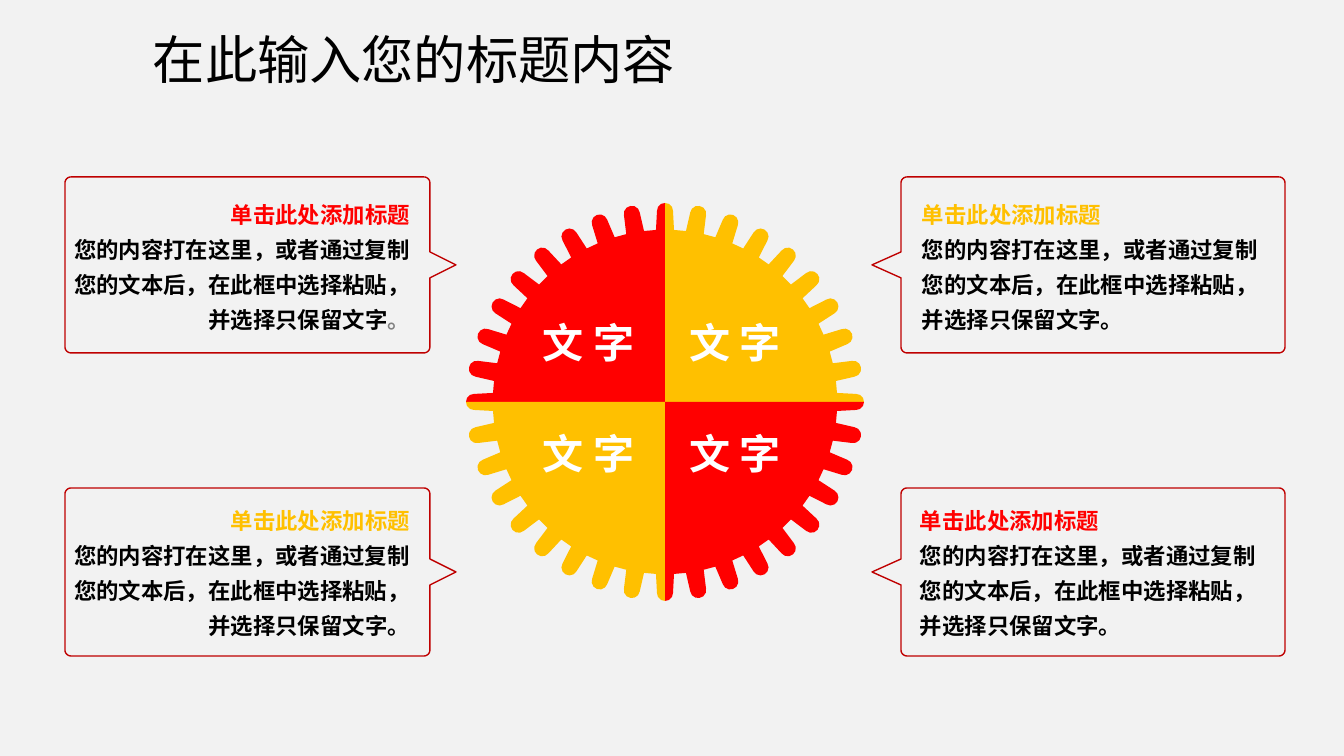
from math import cos, radians, sin
from lxml.etree import SubElement
from pptx import Presentation
from pptx.dml.color import RGBColor
from pptx.enum.text import MSO_AUTO_SIZE, PP_ALIGN
from pptx.oxml.ns import qn
from pptx.util import Pt

PX = 914400 / 134.4
FONT = "Noto Sans CJK SC"
RED = RGBColor(255, 0, 0)
GOLD = RGBColor(255, 192, 0)
EDGE = RGBColor(191, 0, 0)
PALE = RGBColor(242, 242, 242)
GREY = RGBColor(128, 128, 128)
BLACK = RGBColor(0, 0, 0)
WHITE = RGBColor(255, 255, 255)
LEFT, RIGHT = PP_ALIGN.LEFT, PP_ALIGN.RIGHT

TITLE = "在此输入您的标题内容"
HEAD = "单击此处添加标题"
BODY = "您的内容打在这里，或者通过复制您的文本后，在此框中选择粘贴，并选择只保留文字"
LABEL = "文 字"

SIDES = {
    "left": dict(far=65, near=430, tip=456, align=RIGHT, width=357),
    "right": dict(far=1285, near=901, tip=872, align=LEFT, width=352),
}
ROWS = {
    "top": dict(top=177, end=353, mid=265, text=190),
    "low": dict(top=488, end=656, mid=572, text=496),
}
CARDS = [
    ("left", "top", 58, RED, GREY),
    ("left", "low", 58, GOLD, BLACK),
    ("right", "top", 917, GOLD, BLACK),
    ("right", "low", 915, RED, BLACK),
]
ROUND, NOTCH = 6, 13

HUB = (665, 402)
STEP, COUNT = 10, 9
HALF = [(0, 199), (4, 198), (7, 195), (8, 191), (9, 172)]
TOOTH = [(-x, y) for x, y in reversed(HALF)] + HALF[1:]
QUADS = [(-1, -1, RED), (-1, 1, GOLD), (1, -1, GOLD), (1, 1, RED)]
LABELS = [(x, y) for x in (530, 676) for y in (310, 421)]


def px(size):
    """Turn pixels into EMU."""
    return round(size * PX)


def text(shapes, box, paras, size=12, bold=False, align=LEFT, space=None, pad=(13, 7)):
    """Add a text box whose paragraphs are lists of (words, colour)."""
    shape = shapes.add_textbox(*map(px, box))
    frame = shape.text_frame
    frame.word_wrap = True
    frame.auto_size = MSO_AUTO_SIZE.SHAPE_TO_FIT_TEXT
    frame.margin_left = frame.margin_right = px(pad[0])
    frame.margin_top = frame.margin_bottom = px(pad[1])
    for i, runs in enumerate(paras):
        para = frame.add_paragraph() if i else frame.paragraphs[0]
        para.alignment = align
        para.line_spacing = space
        for words, tint in runs:
            run = para.add_run()
            run.text = words
            font = run.font
            font.name, font.size, font.bold = FONT, Pt(size), bold
            font.color.rgb = tint
            SubElement(run._r.get_or_add_rPr(), qn("a:ea"), typeface=FONT)


def outline(shapes, points, fill=None, line=None):
    """Draw a closed outline through pixel points."""
    spots = [(px(x), px(y)) for x, y in points]
    pen = shapes.build_freeform(*spots[0], scale=1.0)
    pen.add_line_segments(spots[1:], close=True)
    shape = pen.convert_to_shape()
    shape.shadow.inherit = False
    if fill is None:
        shape.fill.background()
    else:
        shape.fill.solid()
        shape.fill.fore_color.rgb = fill
    if line is None:
        shape.line.fill.background()
    else:
        shape.line.color.rgb = line
        shape.line.width = Pt(0.75)


def bubble(far, near, tip, top, end, mid):
    """Return the points of a rounded box with a pointer."""
    turn = ROUND if near > far else -ROUND

    def bend(x, y, start):
        """Return one rounded corner."""
        steps = [radians(start + i * 15) for i in range(7)]
        return [(x + turn * cos(a), y + ROUND * sin(a)) for a in steps]

    high, low = top + ROUND, end - ROUND
    return (bend(far + turn, high, 180) + bend(near - turn, high, 270)
            + [(near, mid - NOTCH), (tip, mid), (near, mid + NOTCH)]
            + bend(near - turn, low, 0) + bend(far + turn, low, 90))


def quarter(across, down):
    """Return the points of a quarter gear."""
    points = [HUB]
    for i in range(COUNT + 1):
        a = radians(i * STEP)
        part = HALF if i == 0 else TOOTH[:len(HALF)] if i == COUNT else TOOTH
        for x, y in part:
            points.append((HUB[0] + across * (x * cos(a) + y * sin(a)),
                           HUB[1] + down * (y * cos(a) - x * sin(a))))
    return points


def main():
    """Build the slide."""
    deck = Presentation()
    deck.slide_width, deck.slide_height = px(1344), px(756)
    slide = deck.slides.add_slide(deck.slide_layouts[6])
    back = slide.background.fill
    back.solid()
    back.fore_color.rgb = PALE
    text(slide.shapes, (140, 20, 570, 77), [[(TITLE, BLACK)]], size=28)

    for side, row, left, tint, stop in CARDS:
        s, r = SIDES[side], ROWS[row]
        points = bubble(s["far"], s["near"], s["tip"], r["top"], r["end"], r["mid"])
        outline(slide.shapes, points, line=EDGE)
        text(slide.shapes, (left, r["text"], s["width"], 146),
             [[(HEAD, tint)], [(BODY, BLACK), ("。", stop)]],
             bold=True, align=s["align"], space=1.3, pad=(5, 3))

    gear = slide.shapes.add_group_shape().shapes
    for across, down, tint in QUADS:
        outline(gear, quarter(across, down), fill=tint)
    for x, y in LABELS:
        text(gear, (x, y, 128, 63), [[(LABEL, WHITE)]], size=22, bold=True)
    deck.save("out.pptx")


if __name__ == "__main__":
    main()
